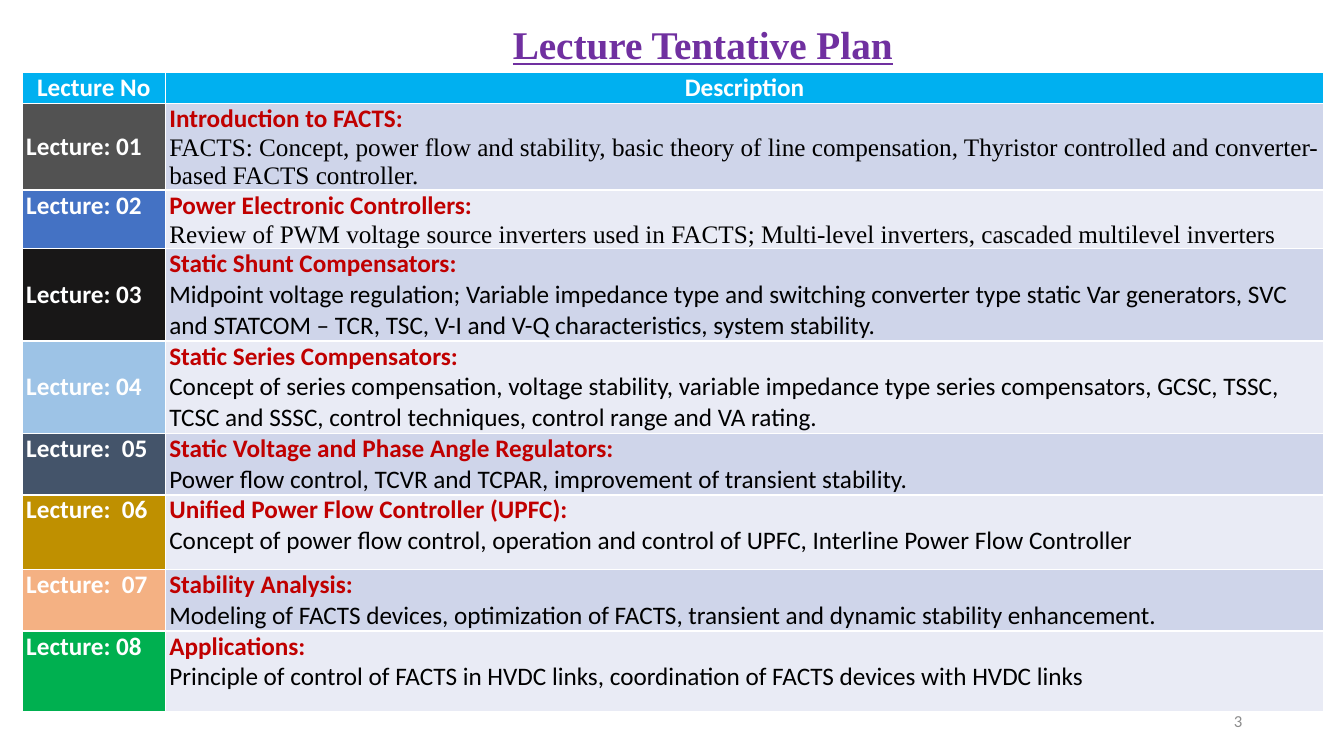
from dataclasses import dataclass

from pptx import Presentation
from pptx.dml.color import RGBColor
from pptx.enum import text as t
from pptx.util import Inches, Pt


@dataclass(frozen=True)
class Theme:
    sans: str = "Calibri"
    serif: str = "Times New Roman"
    title: str = "7030A0"
    header: str = "00B0F0"
    topic: str = "C00000"
    body: str = "000000"
    light: str = "FFFFFF"
    number: str = "8C8C8C"
    bands: tuple = ("CFD5EA", "E9EBF5")
    title_size: int = 28
    table_size: int = 18
    number_size: int = 12


THEME = Theme()
MIDDLE, TOP = t.MSO_ANCHOR.MIDDLE, t.MSO_ANCHOR.TOP
CENTER, LEFT, RIGHT = t.PP_ALIGN.CENTER, t.PP_ALIGN.LEFT, t.PP_ALIGN.RIGHT

# Label, label fill, label anchor, row height, topic, details, details font
LECTURES = [
    ("Lecture: 01", "525252", MIDDLE, 0.86, "Introduction to FACTS:",
     "FACTS: Concept, power flow and stability, basic theory of line compensation, "
     "Thyristor controlled and converter-based FACTS controller.", THEME.serif),
    ("Lecture: 02", "4472C4", TOP, 0.57, "Power Electronic Controllers:",
     "Review of PWM voltage source inverters used in FACTS; Multi-level inverters, "
     "cascaded multilevel inverters", THEME.serif),
    ("Lecture: 03", "181717", MIDDLE, 0.86, "Static Shunt Compensators:",
     "Midpoint voltage regulation; Variable impedance type and switching converter type "
     "static Var generators, SVC and STATCOM – TCR, TSC, V-I and V-Q characteristics, "
     "system stability.", THEME.sans),
    ("Lecture: 04", "9DC3E6", MIDDLE, 0.86, "Static Series Compensators:",
     "Concept of series compensation, voltage stability, variable impedance type series "
     "compensators, GCSC, TSSC, TCSC and SSSC, control techniques, control range and "
     "VA rating.", THEME.sans),
    ("Lecture:  05", "44546A", TOP, 0.6, "Static Voltage and Phase Angle Regulators:",
     "Power flow control, TCVR and TCPAR, improvement of transient stability.", THEME.sans),
    ("Lecture:  06", "BF9000", TOP, 0.74, "Unified Power Flow Controller (UPFC):",
     "Concept of power flow control, operation and control of UPFC, "
     "Interline Power Flow Controller", THEME.sans),
    ("Lecture:  07", "F4B183", TOP, 0.57, "Stability Analysis:",
     "Modeling of FACTS devices, optimization of FACTS, transient and dynamic stability "
     "enhancement.", THEME.sans),
    ("Lecture: 08", "00B050", TOP, 0.8, "Applications:",
     "Principle of control of FACTS in HVDC links, coordination of FACTS devices with "
     "HVDC links", THEME.sans),
]


def write(p, words, color, size, font=THEME.sans, bold=False, align=LEFT):
    p.text = words
    p.alignment = align
    f = p.runs[0].font
    f.name, f.size, f.bold = font, Pt(size), bold
    f.color.rgb = RGBColor.from_string(color)
    return f


def prepare_cell(cell, fill, anchor=TOP):
    cell.fill.solid()
    cell.fill.fore_color.rgb = RGBColor.from_string(fill)
    cell.margin_left = cell.margin_right = Inches(0.04)
    cell.margin_top = cell.margin_bottom = 0
    cell.vertical_anchor = anchor
    return cell.text_frame


def add_title(s, left, top, width, height):
    sp = s.shapes.title
    sp.left, sp.top, sp.width, sp.height = map(Inches, (left, top, width, height))
    tf = sp.text_frame
    tf.word_wrap, tf.auto_size = True, t.MSO_AUTO_SIZE.NONE
    tf.vertical_anchor = TOP
    f = write(tf.paragraphs[0], "Lecture Tentative Plan", THEME.title,
              THEME.title_size, THEME.serif, True, CENTER)
    f.underline = True


def add_plan(s, left, top, width, height):
    label_width, header_height = 1.42, 0.29
    table = s.shapes.add_table(len(LECTURES) + 1, 2, Inches(left), Inches(top),
                               Inches(width), Inches(height)).table
    table.columns[0].width = Inches(label_width)
    table.columns[1].width = Inches(width - label_width)
    size = THEME.table_size

    # Header row
    table.rows[0].height = Inches(header_height)
    for col, heading in enumerate(("Lecture No", "Description")):
        tf = prepare_cell(table.cell(0, col), THEME.header)
        write(tf.paragraphs[0], heading, THEME.light, size, bold=True, align=CENTER)

    # One row per lecture
    for row, lecture in enumerate(LECTURES, 1):
        label, fill, anchor, row_height, topic, details, font = lecture
        table.rows[row].height = Inches(row_height)
        tf = prepare_cell(table.cell(row, 0), fill, anchor)
        write(tf.paragraphs[0], label, THEME.light, size, bold=True)
        tf = prepare_cell(table.cell(row, 1), THEME.bands[(row - 1) % 2])
        write(tf.paragraphs[0], topic, THEME.topic, size, bold=True)
        write(tf.add_paragraph(), details, THEME.body, size, font)


def add_page_number(s, left, top, width, height):
    tf = s.shapes.add_textbox(*map(Inches, (left, top, width, height))).text_frame
    tf.word_wrap = True
    tf.vertical_anchor = MIDDLE
    write(tf.paragraphs[0], "3", THEME.number, THEME.number_size, align=RIGHT)


def main():
    prs = Presentation()
    prs.slide_width, prs.slide_height = Inches(13.33), Inches(7.5)
    s = prs.slides.add_slide(prs.slide_layouts[5])
    add_plan(s, 0.22, 0.72, 12.91, 6.34)
    add_page_number(s, 9.42, 6.95, 3, 0.4)
    add_title(s, 3.7, 0.15, 6.54, 0.57)
    prs.save("out.pptx")


if __name__ == "__main__":
    main()
